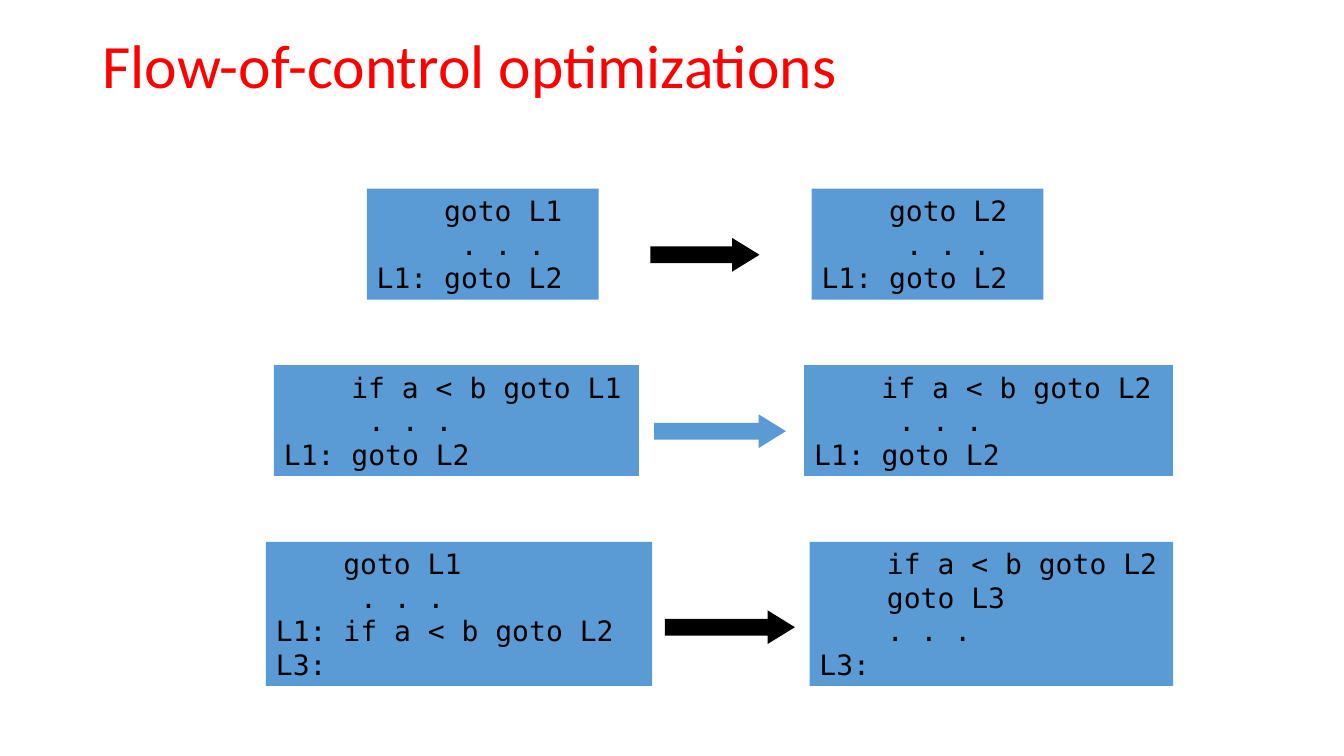
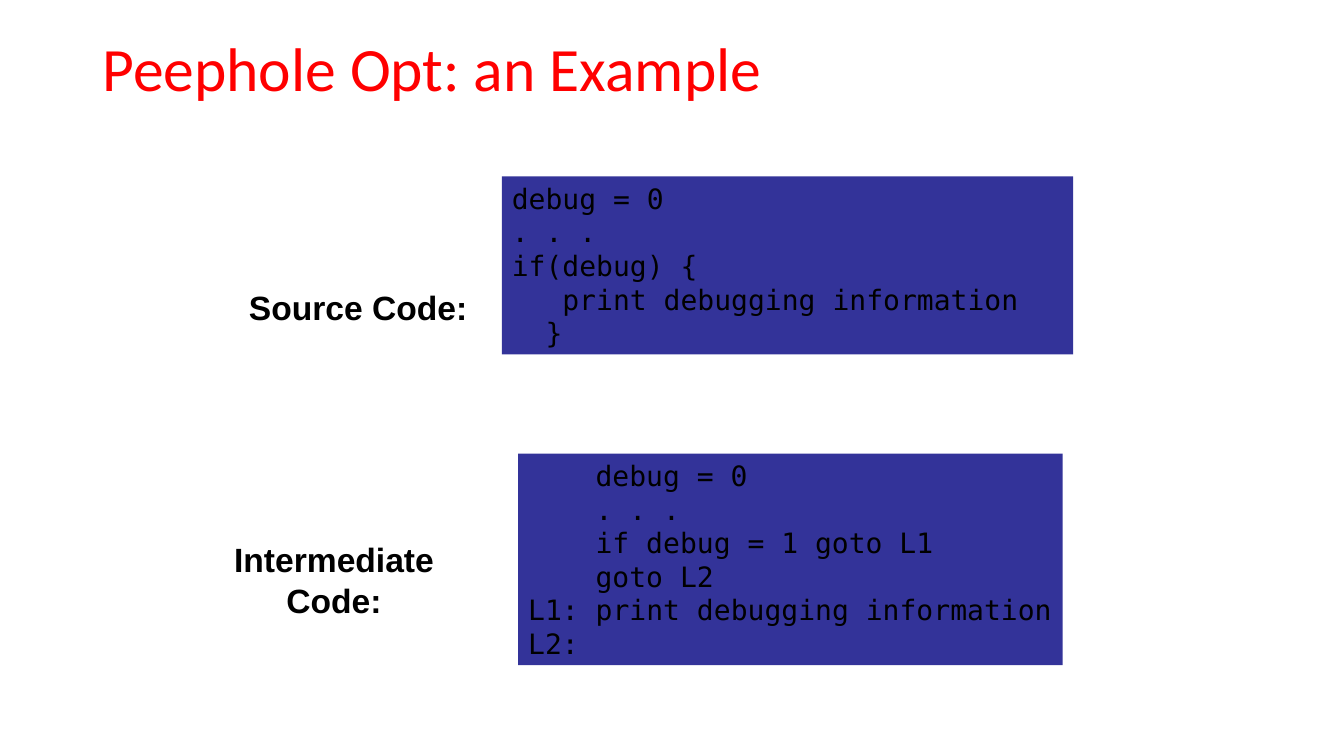
from pptx import Presentation
from pptx.dml.color import RGBColor
from pptx.enum.shapes import MSO_SHAPE as Shape
from pptx.enum.text import MSO_ANCHOR as Anchor, PP_ALIGN as Align
from pptx.util import Pt

# Shared style
RED, BLACK, BLUE, NAVY = "FF0000", "000000", "5B9BD5", "333399"
TITLE_FONT, LABEL_FONT, CODE_FONT = "Calibri", "Arial", "DejaVu Sans Mono"
CODE_SIZE = 20
CHARACTER_WIDTH = 12.04  # one code column, in points


def add_text(paragraph, text, font, size, color, bold=False):
    run = paragraph.add_run()
    run.text = text
    run.font.name = font
    run.font.size = Pt(size)
    run.font.bold = bold
    run.font.color.rgb = RGBColor.from_string(color)


def add_block(slide, kind, box, fill, lines=()):
    """Filled shape; each code line is a pair of indent columns and text."""
    shape = slide.shapes.add_shape(kind, *map(Pt, box))
    shape.shadow.inherit = False
    shape.fill.solid()
    shape.fill.fore_color.rgb = RGBColor.from_string(fill)
    shape.line.fill.background()
    frame = shape.text_frame
    frame.word_wrap = True
    frame.vertical_anchor = Anchor.TOP
    for number, (columns, text) in enumerate(lines):
        paragraph = frame.add_paragraph() if number else frame.paragraphs[0]
        paragraph.alignment = Align.LEFT
        indent = Pt(columns * CHARACTER_WIDTH)
        paragraph._p.get_or_add_pPr().set("marL", str(indent))
        add_text(paragraph, text, CODE_FONT, CODE_SIZE, BLACK)
    return shape


presentation = Presentation()
presentation.slide_width, presentation.slide_height = Pt(960), Pt(540)

# Both slides with their titles
slides = []
for heading, top, height in [
    ("Flow-of-control optimizations", 16, 66),
    ("Peephole Opt: an Example", 20, 62.5),
]:
    slide = presentation.slides.add_slide(presentation.slide_layouts[5])
    title = slide.shapes.title
    title.left, title.top, title.width, title.height = map(Pt, (66, top, 828, height))
    title.text_frame.vertical_anchor = Anchor.MIDDLE
    paragraph = title.text_frame.paragraphs[0]
    paragraph.alignment = Align.LEFT
    paragraph.line_spacing = 0.9
    add_text(paragraph, heading, TITLE_FONT, 44, RED)
    slides.append(slide)
flow_slide, example_slide = slides

# Slide 1: code before, arrow, code after; spans are (left, width)
rewrites = [
    (134.8, 79.2,
     (262, 165.6), [(4, "goto L1"), (5, ". . ."), (0, "L1: goto L2")],
     (579.8, 165.6), [(4, "goto L2"), (5, ". . ."), (0, "L1: goto L2")],
     (464.5, 78), 170, BLACK),
    (260.8, 79.2,
     (195.7, 260.6), [(4, "if a < b goto L1"), (5, ". . ."), (0, "L1: goto L2")],
     (574.4, 263.5), [(4, "if a < b goto L2"), (5, ". . ."), (0, "L1: goto L2")],
     (467.2, 94.2), 296, BLUE),
    (387, 103,
     (190, 275.8),
     [(4, "goto L1"), (5, ". . ."), (0, "L1: if a < b goto L2"), (0, "L3:")],
     (578.3, 259.7),
     [(4, "if a < b goto L2"), (4, "goto L3"), (4, ". . ."), (0, "L3:")],
     (475, 92.8), 436, BLACK),
]
for top, height, before, old, after, new, span, arrow_top, color in rewrites:
    for (left, width), lines in [(before, old), (after, new)]:
        add_block(flow_slide, Shape.RECTANGLE, (left, top, width, height), BLUE, lines)
    arrow = add_block(flow_slide, Shape.RIGHT_ARROW,
                      (span[0], arrow_top, span[1], 24), color)
    arrow.adjustments[0] = 0.5
    arrow.adjustments[1] = 0.81

# Slide 2: code listings
listings = [
    ((358.5, 126, 408, 127.2),
     [(0, "debug = 0"), (0, ". . ."), (0, "if(debug) {"),
      (3, "print debugging information"), (2, "}")]),
    ((370.2, 324, 388.8, 151.2),
     [(4, "debug = 0"), (4, ". . ."), (4, "if debug = 1 goto L1"), (4, "goto L2"),
      (0, "L1: print debugging information"), (0, "L2:")]),
]
for box, lines in listings:
    add_block(example_slide, Shape.RECTANGLE, box, NAVY, lines)

# Slide 2: labels beside the listings
labels = [
    ((170.8, 201.6, 172, 36), Align.LEFT, ["Source Code:"]),
    ((160, 381.6, 157.2, 65), Align.CENTER, ["Intermediate", "Code:"]),
]
for box, alignment, lines in labels:
    frame = example_slide.shapes.add_textbox(*map(Pt, box)).text_frame
    frame.word_wrap = True
    for number, text in enumerate(lines):
        paragraph = frame.add_paragraph() if number else frame.paragraphs[0]
        paragraph.alignment = alignment
        add_text(paragraph, text, LABEL_FONT, 24, BLACK, bold=True)

presentation.save("out.pptx")
